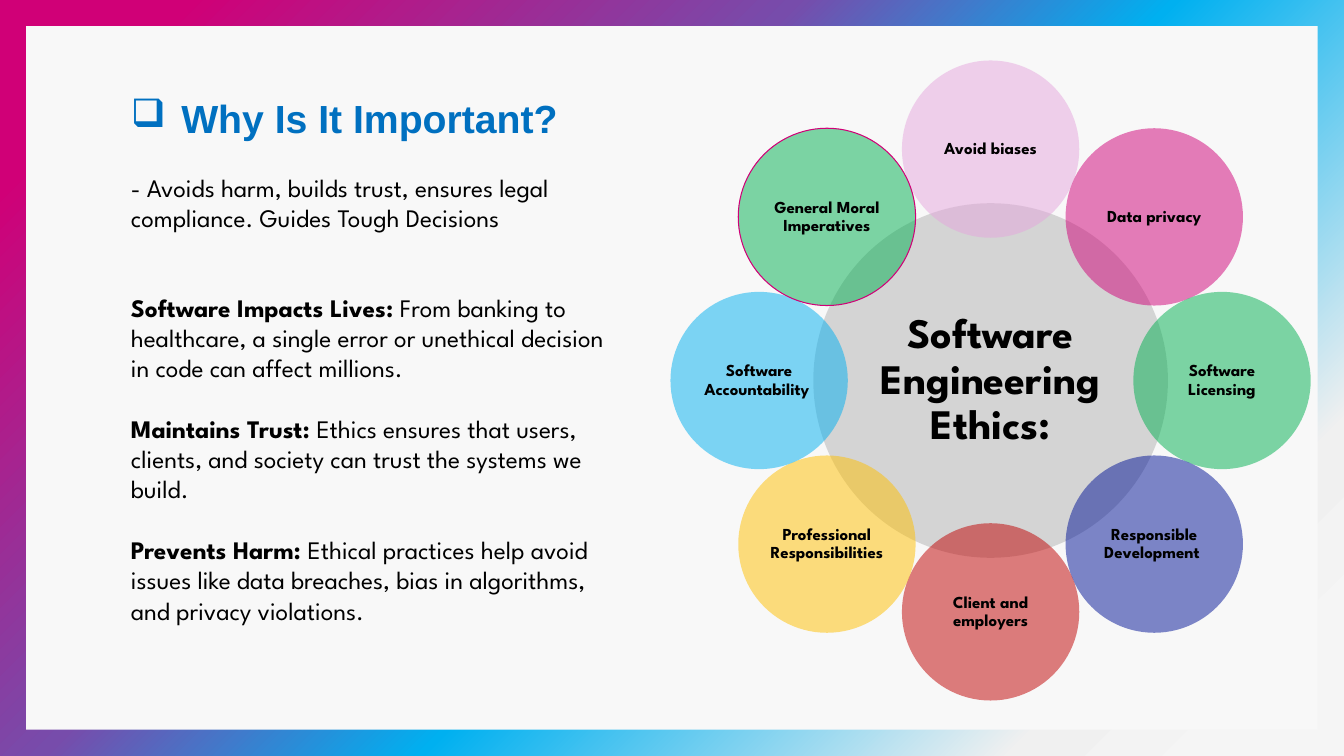
import math
from collections import namedtuple

from lxml import etree
from pptx import Presentation
from pptx import util as u
from pptx.dml.color import RGBColor
from pptx.enum import shapes, text
from pptx.oxml.ns import qn

Box = namedtuple("Box", "left top width height")


class Theme:
    body_font, title_font = "League Spartan", "Arial"
    hub_size, label_size, title_size, body_size = 30, 12, 28, 18
    ink, title, panel, hub, outline = "000000", "0070C0", "F8F8F8", "B2B2B2", "D00077"
    backdrop = [(9, "D00077"), (38, "774CAB"), (56, "00B0F0"), (84, "F0F0F0"), (95, "F5F5F5")]
    alpha = 50
    paragraph_gap = 21.7


WIDTH, HEIGHT, MARGIN = 13.33, 7.5, 0.26

# Clockwise from the top
TOPICS = [
    ("Avoid biases", "E5A5DD"),
    ("Data privacy", "D00077"),
    ("Software Licensing", "00B050"),
    ("Responsible Development ", "001296"),
    ("Client and employers", "C00000"),
    ("Professional Responsibilities", "FFC000"),
    ("Software Accountability ", "00B0F0"),
    ("General Moral Imperatives", "00B050"),
]

REASONS = [
    ("Software Impacts Lives: ",
     "From banking to healthcare, a single error or unethical decision in code can affect millions."),
    ("Maintains Trust: ",
     "Ethics ensures that users, clients, and society can trust the systems we build."),
    ("Prevents Harm: ",
     "Ethical practices help avoid issues like data breaches, bias in algorithms, "
     "and privacy violations."),
]


def inches(box):
    return [u.Inches(length) for length in box]


def style(span, size, color=Theme.ink, bold=False, font=Theme.body_font):
    span.font.name, span.font.size, span.font.bold = font, u.Pt(size), bold
    span.font.color.rgb = RGBColor.from_string(color)


def add_solid(page, kind, box, color):
    shape = page.shapes.add_shape(kind, *inches(box))
    shape.shadow.inherit = False
    shape.fill.solid()
    shape.fill.fore_color.rgb = RGBColor.from_string(color)
    shape.line.fill.background()
    return shape


def add_circle(page, center, diameter, color, label, size, inset):
    box = Box(center[0] - diameter / 2, center[1] - diameter / 2, diameter, diameter)
    circle = add_solid(page, shapes.MSO_SHAPE.OVAL, box, color)
    tint = circle.fill._xPr.find(".//" + qn("a:srgbClr"))
    etree.SubElement(tint, qn("a:alpha"), val=str(Theme.alpha * 1000))
    frame = circle.text_frame
    frame.text, frame.word_wrap = label, True
    frame.vertical_anchor = text.MSO_ANCHOR.MIDDLE
    frame.margin_left = frame.margin_right = u.Inches(inset)
    frame.margin_top = frame.margin_bottom = u.Inches(inset)
    para = frame.paragraphs[0]
    para.alignment, para.line_spacing = text.PP_ALIGN.CENTER, 0.9
    style(para.runs[0], size, bold=True)
    return circle


def add_text_frame(page, box):
    frame = page.shapes.add_textbox(*inches(box)).text_frame
    frame.word_wrap = True
    frame.auto_size = text.MSO_AUTO_SIZE.SHAPE_TO_FIT_TEXT
    return frame


def draw_backdrop(page, box):
    # Diagonal gradient behind a light panel
    fill = page.background.fill
    fill.gradient()
    gradient = page.background._cSld.find(".//" + qn("a:gradFill"))
    stops = gradient.find(qn("a:gsLst"))
    for stop in list(stops):
        stops.remove(stop)
    for position, color in Theme.backdrop:
        stop = etree.SubElement(stops, qn("a:gs"), pos=str(position * 1000))
        etree.SubElement(stop, qn("a:srgbClr"), val=color)
    direction = gradient.find(qn("a:lin"))
    direction.set("ang", str(45 * 60000))
    direction.set("scaled", "0")
    add_solid(page, shapes.MSO_SHAPE.RECTANGLE, box, Theme.panel)


def draw_heading(page, box):
    frame = add_text_frame(page, box)
    frame.text = ("Why Is It Important?\n"
                  "- Avoids harm, builds trust, ensures legal compliance. Guides Tough Decisions")
    title, summary = frame.paragraphs
    layout = title._p.get_or_add_pPr()
    layout.set("marL", str(u.Inches(0.5)))
    layout.set("indent", str(-u.Inches(0.5)))
    etree.SubElement(layout, qn("a:buChar"), char="❑")
    style(title.runs[0], Theme.title_size, Theme.title, True, Theme.title_font)
    style(summary.runs[0], Theme.body_size)
    summary.space_before = u.Pt(Theme.paragraph_gap)


def draw_reasons(page, box):
    frame = add_text_frame(page, box)
    for index, reason in enumerate(REASONS):
        para = frame.add_paragraph() if index else frame.paragraphs[0]
        if index:
            para.space_before = u.Pt(Theme.paragraph_gap)
        for words, bold in zip(reason, (True, False)):
            span = para.add_run()
            span.text = words
            style(span, Theme.body_size, bold=bold)


def draw_topic_ring(page, box):
    # Hub with the topics evenly spaced around it
    center = box.left + box.width / 2, box.top + box.height / 2
    diameter = box.width * 0.277
    orbit = (box.width - diameter) / 2
    add_circle(page, center, diameter * 2, Theme.hub, "Software Engineering Ethics:",
               Theme.hub_size, 0.04)
    for index, (label, color) in enumerate(TOPICS):
        angle = math.tau * index / len(TOPICS)
        spot = center[0] + orbit * math.sin(angle), center[1] - orbit * math.cos(angle)
        circle = add_circle(page, spot, diameter, color, label, Theme.label_size, 0.02)
    # The last topic is outlined
    circle.line.color.rgb = RGBColor.from_string(Theme.outline)
    circle.line.width = u.Pt(0.75)


def main():
    deck = Presentation()
    deck.slide_width, deck.slide_height = u.Inches(WIDTH), u.Inches(HEIGHT)
    page = deck.slides.add_slide(deck.slide_layouts[6])
    draw_backdrop(page, Box(MARGIN, MARGIN, WIDTH - 2 * MARGIN, HEIGHT - 2 * MARGIN))
    column = WIDTH * 0.09
    draw_topic_ring(page, Box(6.65, 0.6, 6.35, 6.35))
    draw_heading(page, Box(column, 0.89, 4.48, 1.78))
    draw_reasons(page, Box(column, 2.85, 4.95, 4.04))
    deck.save("out.pptx")


if __name__ == "__main__":
    main()
